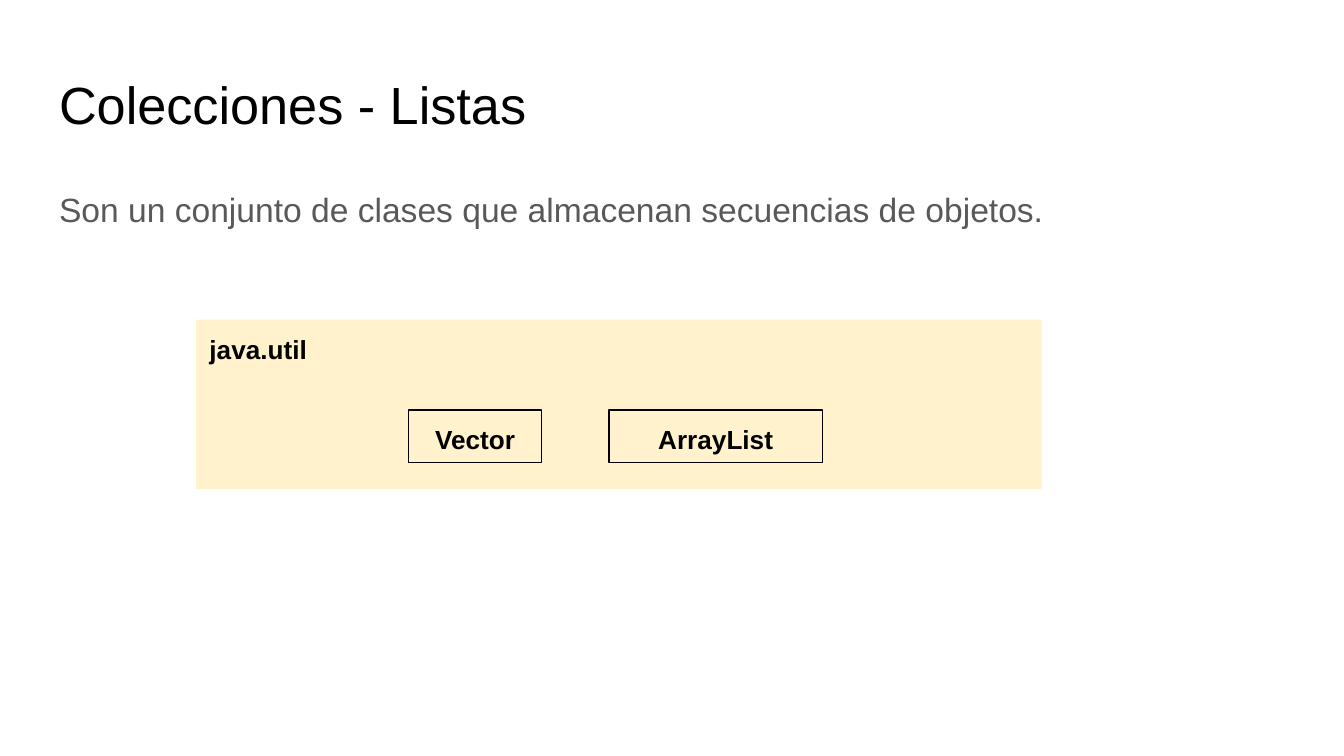
"""Build a slide on Java list collections with a java.util package diagram."""
from pptx import Presentation
from pptx.dml.color import RGBColor
from pptx.enum.shapes import MSO_SHAPE as Shape
from pptx.enum.text import MSO_ANCHOR as Anchor, PP_ALIGN as Align
from pptx.util import Inches, Pt


def color(hex_value):
    return RGBColor.from_string(hex_value)


def write(holder, text, size, ink, paragraph_format, bold=False):
    frame = holder.text_frame
    frame_format = {"word_wrap": True, "vertical_anchor": Anchor.TOP}
    for side in ("left", "top", "right", "bottom"):
        frame_format[f"margin_{side}"] = Inches(0.1)
    for name, value in frame_format.items():
        setattr(frame, name, value)
    paragraph = frame.paragraphs[0]
    for name, value in paragraph_format.items():
        setattr(paragraph, name, value)
    run = paragraph.add_run()
    run.text = text
    for name, value in {"name": "Arial", "size": Pt(size), "bold": bold}.items():
        setattr(run.font, name, value)
    run.font.color.rgb = color(ink)


deck = Presentation()
deck.slide_width, deck.slide_height = Inches(10), Inches(10 * 9 / 16)
slide = deck.slides.add_slide(deck.slide_layouts[6])
column, row = deck.slide_width / 100, deck.slide_height / 100

statements = [
    ("Colecciones - Listas", 8.7, 93.2, 28, "000000", {"line_spacing": 0.9}),
    ("Son un conjunto de clases que almacenan secuencias de objetos.", 22.4, 83.1, 18,
     "595959", {"line_spacing": 1.15, "space_after": Pt(12)}),
]
for text, top, width, size, ink, spacing in statements:
    statement = slide.shapes.add_textbox(
        int(3.41 * column), int(top * row), int(width * column), int(11.2 * row))
    write(statement, text, size, ink, spacing)

diagram = [
    ("java.util", 14.6, 42.3, 62.9, 22.4, Align.LEFT, False),
    ("Vector", 30.4, 54.25, 9.9, 6.95, Align.CENTER, True),
    ("ArrayList", 45.3, 54.25, 15.9, 6.95, Align.CENTER, True),
]
for text, left, top, width, height, alignment, outlined in diagram:
    block = slide.shapes.add_shape(
        Shape.RECTANGLE, int(left * column), int(top * row),
        int(width * column), int(height * row))
    block.shadow.inherit = False
    block.fill.solid()
    block.fill.fore_color.rgb = color("FFF2CC")
    if outlined:
        block.line.color.rgb = color("000000")
        block.line.width = Pt(0.75)
    else:
        block.line.fill.background()
    write(block, text, 14, "000000", {"alignment": alignment}, bold=True)

deck.save("out.pptx")
